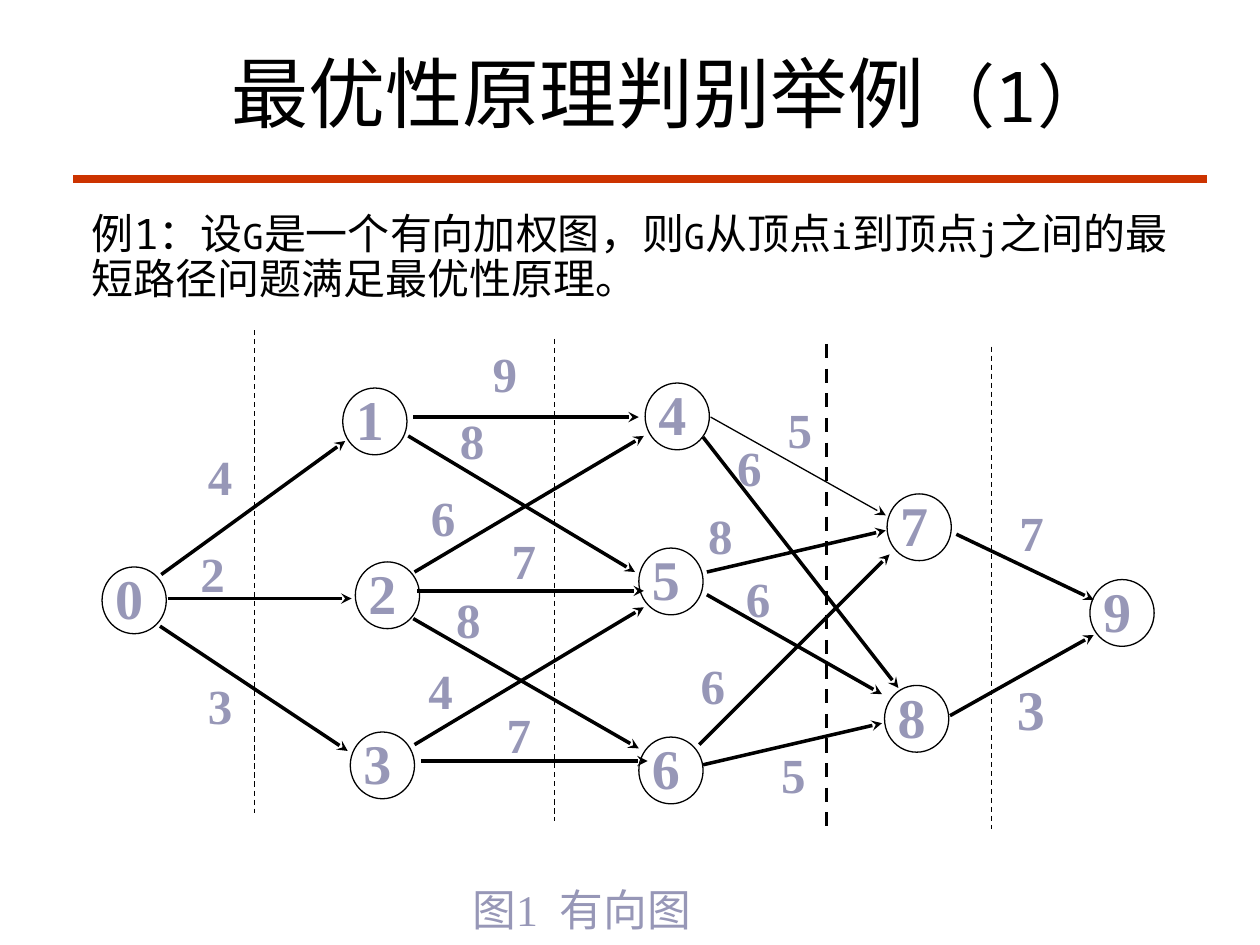
from dataclasses import dataclass

from lxml import etree
from pptx import Presentation
from pptx.dml.color import RGBColor
from pptx.enum import dml, shapes, text
from pptx.oxml import ns
from pptx.util import Inches, Pt


@dataclass(frozen=True)
class Theme:
    ink: str = "000000"
    label: str = "9797B7"
    rule: str = "CC3300"
    sans: str = "Noto Sans Mono"
    serif: str = "Times New Roman"
    title: int = 44
    title_number: int = 40
    body: int = 24
    body_letter: int = 20
    node: int = 32
    weight: int = 28
    caption: int = 25
    thin: float = 0.75
    bold: float = 2
    heavy: float = 4.5


theme = Theme()
deck = Presentation()
deck.slide_width, deck.slide_height = Inches(10), Inches(7.5)
column, row = deck.slide_width / 10, deck.slide_height / 7.5
page = deck.slides.add_slide(deck.slide_layouts[6])
graph = page.shapes.add_group_shape()


def draw_line(parent, start, end, width, color=theme.ink, arrow=False, dashed=False):
    line = parent.add_connector(
        shapes.MSO_CONNECTOR.STRAIGHT,
        round(start[0] * column), round(start[1] * row),
        round(end[0] * column), round(end[1] * row),
    )
    line.line.width = Pt(width)
    line.line.color.rgb = RGBColor.from_string(color)
    if dashed:
        line.line.dash_style = dml.MSO_LINE.DASH
    properties = line.line._get_or_add_ln()
    if arrow:
        etree.SubElement(properties, ns.qn("a:tailEnd"), type="stealth")
    etree.SubElement(properties.getparent(), ns.qn("a:effectLst"))


def write(box, spans, font, color, align, spacing, bold=False, margins=(0, 0)):
    frame = box.text_frame
    frame.word_wrap = True
    frame.vertical_anchor = text.MSO_ANCHOR.TOP
    frame.margin_left, frame.margin_right = Inches(margins[0]), Inches(margins[0])
    frame.margin_top, frame.margin_bottom = Inches(margins[1]), Inches(margins[1])
    para = frame.paragraphs[0]
    para.alignment = align
    para.line_spacing = spacing
    for words, size in spans:
        span = para.add_run()
        span.text = words
        span.font.size = Pt(size)
        span.font.name = font
        span.font.bold = bold
        span.font.color.rgb = RGBColor.from_string(color)
    return frame


draw_line(page.shapes, (0.58, 1.42), (9.58, 1.42), theme.heavy, theme.rule)

node_places = [
    (0.81, 4.5), (2.72, 3.08), (2.82, 4.46), (2.78, 5.81), (5.12, 3.04),
    (5.07, 4.35), (5.07, 5.85), (7.04, 3.92), (7.02, 5.44), (8.65, 4.6),
]
for number, (left, top) in enumerate(node_places):
    node = graph.shapes.add_shape(
        shapes.MSO_SHAPE.OVAL,
        round(left * column), round(top * row), round(0.51 * column), round(0.53 * row),
    )
    node.shadow.inherit = False
    node.fill.background()
    node.line.color.rgb = RGBColor.from_string(theme.ink)
    node.line.width = Pt(theme.thin)
    frame = write(node, [(str(number), theme.node)], theme.serif, theme.label,
                  text.PP_ALIGN.JUSTIFY, 0.8, bold=True)
    frame.margin_left = Inches(0.03)

edges = [
    ((1.28, 4.56), (2.74, 3.5), "4", (1.65, 3.63)),
    ((1.33, 4.75), (2.79, 4.75), "2", (1.59, 4.4)),
    ((1.27, 4.97), (2.76, 5.96), "3", (1.65, 5.45)),
    ((3.28, 3.31), (5.07, 3.31), "9", (3.91, 2.82)),
    ((3.24, 3.46), (5.04, 4.54), "8", (3.65, 3.35)),
    ((3.29, 4.54), (5.11, 3.46), "6", (3.42, 3.96)),
    ((3.31, 4.69), (5.11, 4.69), "7", (4.06, 4.3)),
    ((3.28, 4.91), (5.07, 5.94), "8", (3.62, 4.77)),
    ((3.29, 5.91), (5.11, 4.82), "4", (3.4, 5.33)),
    ((3.34, 6.04), (5.14, 6.04), "7", (4.02, 5.68)),
    ((5.64, 3.31), (7.03, 4.09), "5", (6.25, 3.26)),
    ((5.58, 3.47), (7.13, 5.46), "6", (5.85, 3.56)),
    ((5.61, 4.54), (7.03, 4.21), "8", (5.62, 4.1)),
    ((5.61, 4.72), (7, 5.51), "6", (5.92, 4.6)),
    ((5.55, 5.91), (7.06, 4.4), "6", (5.56, 5.29)),
    ((5.58, 6.07), (7, 5.74), "5", (6.2, 6)),
    ((7.59, 4.24), (8.68, 4.76), "7", (8.09, 4.08)),
    ((7.54, 5.68), (8.68, 5.04), "3", (8.07, 5.46)),
]
thin_edge, large_weight = 10, 17
for index, (start, end, weight, (left, top)) in enumerate(edges):
    width = theme.thin if index == thin_edge else theme.bold
    size = theme.node if index == large_weight else theme.weight
    draw_line(graph.shapes, start, end, width, arrow=True)
    box = graph.shapes.add_textbox(
        round(left * column), round(top * row), round(0.28 * column), round(0.35 * row))
    write(box, [(weight, size)], theme.serif, theme.label,
          text.PP_ALIGN.JUSTIFY, 0.8, bold=True)

stages = [(2.02, 2.62, theme.thin), (4.4, 2.69, theme.thin),
          (6.56, 2.73, theme.bold), (7.87, 2.75, theme.thin)]
for left, top, width in stages:
    draw_line(graph.shapes, (left, top), (left, top + 3.83), width, dashed=True)

caption = graph.shapes.add_textbox(
    round(2.75 * column), round(7.09 * row), round(4.23 * column), round(0.41 * row))
caption_para = caption.text_frame.paragraphs[0]
tabs = etree.SubElement(caption_para._p.get_or_add_pPr(), ns.qn("a:tabLst"))
etree.SubElement(tabs, ns.qn("a:tab"), pos=str(Inches(1)), algn="l")
write(caption, [("\t图1  有向图", theme.caption)], theme.serif, theme.label,
      text.PP_ALIGN.JUSTIFY, 0.8)

title = page.shapes.add_textbox(
    round(1.09 * column), round(0.31 * row), round(8.58 * column), round(0.83 * row))
title_spans = [("最优性原理判别举例", theme.title), ("（1）", theme.title_number), (" ", theme.title)]
frame = write(title, title_spans, theme.sans, theme.ink,
              text.PP_ALIGN.CENTER, 1.0, margins=(0.1, 0.05))
frame.vertical_anchor = text.MSO_ANCHOR.MIDDLE

body = page.shapes.add_textbox(
    round(0.63 * column), round(1.64 * row), round(8.98 * column), round(0.82 * row))
phrases = ["例1：设", "G", "是一个有向加权图，则", "G", "从顶点", "i", "到顶点", "j",
           "之间的最短路径问题满足最优性原理。"]
body_spans = [(phrase, theme.body_letter if phrase in ("G", "i", "j") else theme.body)
              for phrase in phrases]
frame = write(body, body_spans, theme.sans, theme.ink,
              text.PP_ALIGN.LEFT, 0.9, margins=(0.1, 0.05))
frame.auto_size = text.MSO_AUTO_SIZE.SHAPE_TO_FIT_TEXT

deck.save("out.pptx")
